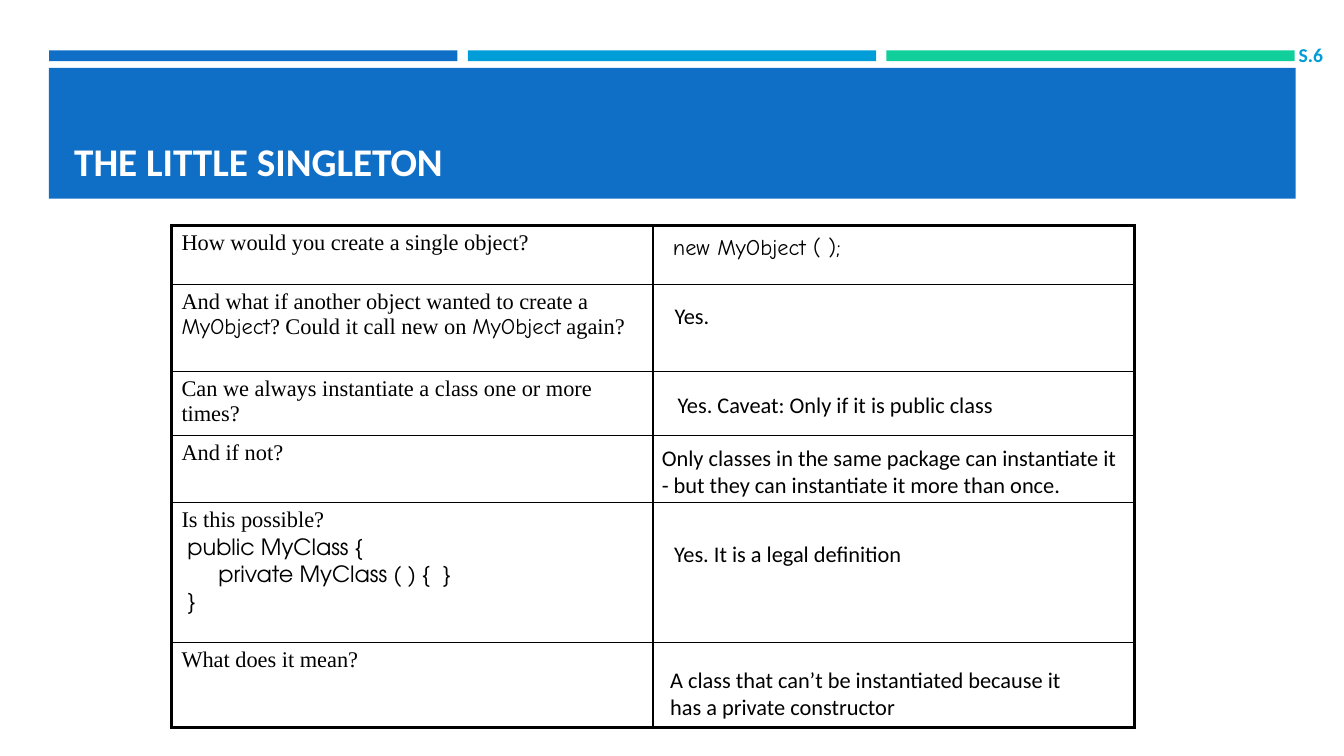
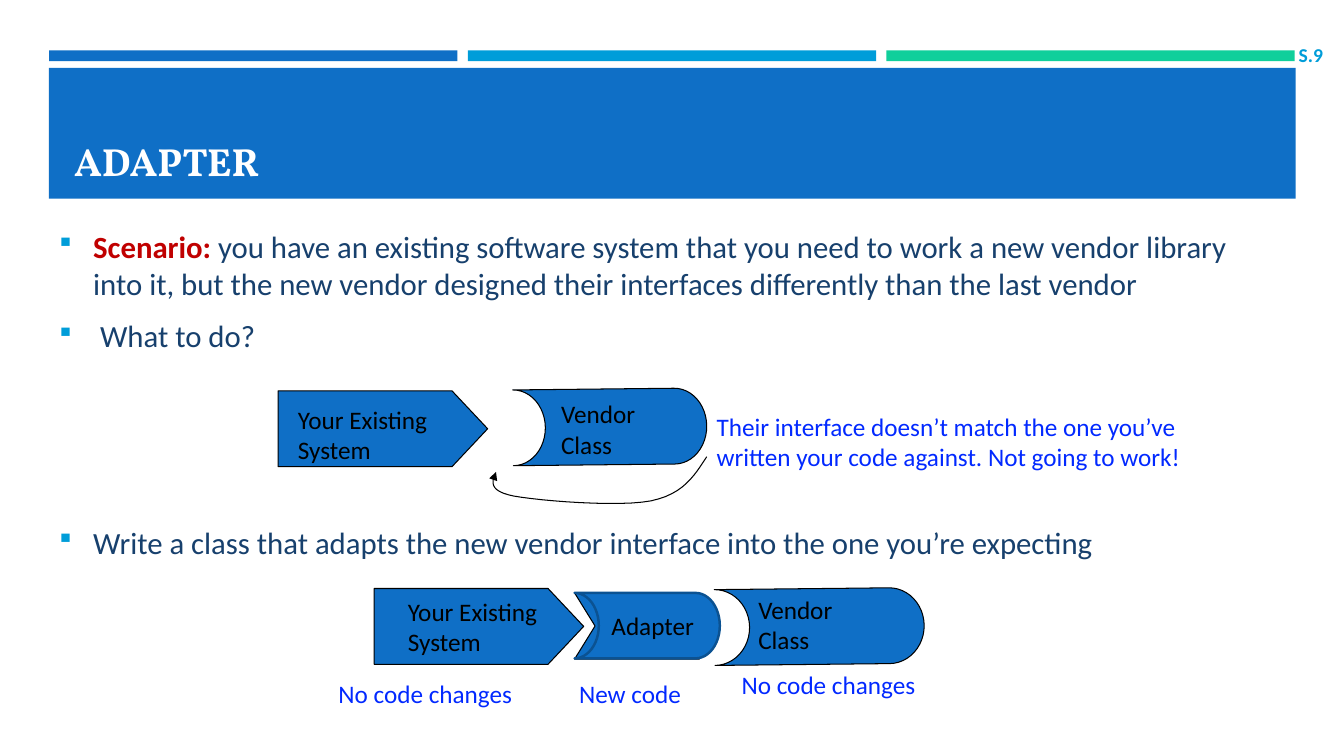
from pptx import Presentation
from pptx.dml.color import RGBColor
from pptx.enum.shapes import MSO_SHAPE
from pptx.enum.text import MSO_ANCHOR, PP_ALIGN
from pptx.oxml.ns import qn
from pptx.util import Cm, Pt
from lxml.etree import SubElement

BLUE = RGBColor(0x0F, 0x6F, 0xC6)
SKY = RGBColor(0x00, 0x9D, 0xD9)
GREEN = RGBColor(0x10, 0xCF, 0x9B)
EDGE = RGBColor(0x0B, 0x52, 0x92)
NAVY = RGBColor(0x17, 0x40, 0x6D)
RED = RGBColor(0xC0, 0x00, 0x00)
NOTE = RGBColor(0x02, 0x29, 0xFF)
BLACK = RGBColor(0, 0, 0)
WHITE = RGBColor(0xFF, 0xFF, 0xFF)
SANS, SERIF, HAND, CODE = "Calibri", "Times New Roman", "Comic Neue", "TeX Gyre Adventor"

# Singleton table: row height, question paragraphs (indent, [(text, font)])
QUESTIONS = [
    (1.48, [(0, [("How would you create a single object?", SERIF)])]),
    (2.2, [(0, [("And what if another object wanted to create a ", SERIF), ("MyObject", HAND),
                ("? Could it call new on ", SERIF), ("MyObject", HAND), (" again?", SERIF)])]),
    (1.54, [(0, [("Can we always instantiate a class one or more times?", SERIF)])]),
    (1.69, [(0, [("And if not?", SERIF)])]),
    (3.53, [(0, [("Is this possible?", SERIF)]),
            (0.15, [("public MyClass {", CODE)]),
            (0.93, [("private MyClass ( ) {  }", CODE)]),
            (0.15, [("}", CODE)])]),
    (2.14, [(0, [("What does it mean?", SERIF)])]),
]
# Answers laid over the right column: text, font, left, top, width, height
ANSWERS = [
    ("new MyObject ( );", HAND, 16.71, 5.74, 5.26, 1.04),
    ("Yes.", SANS, 16.75, 7.49, 1.7, 0.94),
    ("Yes. Caveat: Only if it is public class", SANS, 16.83, 9.74, 9.2, 0.94),
    ("Only classes in the same package can instantiate it - but they can instantiate "
     "it more than once.", SANS, 16.43, 11.06, 12.17, 1.63),
    ("Yes. It is a legal definition", SANS, 16.74, 13.48, 7, 0.94),
    ("A class that can’t be instantiated because it has a private constructor",
     SANS, 16.64, 16.66, 10.57, 1.63),
]

# Adapter bullets: space before in points, [(text, colour, bold)]
ADAPTER_BULLETS = [
    (0, [("Scenario: ", RED, True),
         ("you have an existing software system that you need to work a new vendor library "
          "into it, but the new vendor designed their interfaces differently than the last "
          "vendor", NAVY, False)]),
    (5, [(" What to do?", NAVY, False)]),
    (115, [("Write a class that adapts the new vendor interface into the one you’re expecting",
            NAVY, False)]),
]
# Pentagons: left, top, text inset left and top
SYSTEMS = [(7.01, 9.85, 0.5, 0.34), (9.43, 14.83, 0.85, 0.2)]
# Vendor shapes: left, top, width
VENDORS = [(12.93, 9.8, 4.88), (18.01, 14.83, 5.28)]
# Labels: text, left, top, width, colour
LABELS = [
    ("Vendor\nClass", 13.89, 9.92, 3.6, BLACK),
    ("Vendor\nClass", 18.86, 14.85, 2.57, BLACK),
    ("Adapter", 15.16, 15.26, 2.67, BLACK),
    ("Their interface doesn’t match the one you’ve written your code against. "
     "Not going to work!", 17.81, 10.24, 13.34, NOTE),
    ("No code changes", 8.28, 16.97, 5, NOTE),
    (" New code", 14.2, 16.97, 3.4, NOTE),
    ("No code changes", 18.44, 16.74, 5, NOTE),
]
# Return arrow: Bézier curves, each starting where the last one ends
ARROW_START = (17.81, 11.51)
ARROW_CURVES = [
    ((17.5, 11.99), (17.22, 12.45), (16.41, 12.62)),
    ((15.6, 12.78), (13.61, 12.62), (12.95, 12.5)),
    ((12.29, 12.37), (12.4, 12.12), (12.5, 11.89)),
]


def style(run, size, font=SANS, color=BLACK, bold=False):
    run.font.size, run.font.name = Pt(size), font
    run.font.color.rgb, run.font.bold = color, bold


def add_label(slide, text, left, top, width, height, size, font=SANS, color=BLACK, bold=False):
    box = slide.shapes.add_textbox(Cm(left), Cm(top), Cm(width), Cm(height))
    box.text_frame.word_wrap = True
    box.text_frame.text = text
    for paragraph in box.text_frame.paragraphs:
        for run in paragraph.runs:
            style(run, size, font, color, bold)
    return box


def add_block(slide, preset, left, top, width, height, fill=BLUE, line=None, line_width=0.75):
    shape = slide.shapes.add_shape(preset, Cm(left), Cm(top), Cm(width), Cm(height))
    shape.shadow.inherit = False
    shape.fill.solid()
    shape.fill.fore_color.rgb = fill
    if line is None:
        shape.line.fill.background()
    else:
        shape.line.color.rgb, shape.line.width = line, Pt(line_width)
    return shape


def new_slide(presentation, title, title_font, number):
    slide = presentation.slides.add_slide(presentation.slide_layouts[6])
    for index, color in enumerate((BLUE, SKY, GREEN)):
        add_block(slide, MSO_SHAPE.RECTANGLE, 1.24 + index * 10.55, 1.27, 10.29, 0.27, color)
    add_block(slide, MSO_SHAPE.RECTANGLE, 1.23, 1.71, 31.42, 3.3)
    heading = add_label(slide, title, 1.62, 1.96, 30.63, 2.82, 28, title_font, WHITE, True)
    heading.text_frame.vertical_anchor = MSO_ANCHOR.BOTTOM
    page = add_label(slide, number, 32.73, 0.98, 1.1, 0.8, 14, SANS, SKY, True).text_frame
    page.vertical_anchor = MSO_ANCHOR.MIDDLE
    page.margin_left = page.margin_right = page.margin_top = page.margin_bottom = 0
    return slide


def set_borders(cell, widths):
    properties = cell._tc.get_or_add_tcPr()
    for position, (side, width) in enumerate(zip(("lnL", "lnR", "lnT", "lnB"), widths)):
        line = properties.makeelement(qn("a:" + side), {"w": str(Pt(width))})
        fill = SubElement(line, qn("a:solidFill"))
        SubElement(fill, qn("a:srgbClr"), val=str(BLACK))
        properties.insert(position, line)


def add_singleton_table(slide):
    count = len(QUESTIONS)
    height = sum(row_height for row_height, _ in QUESTIONS)
    table = slide.shapes.add_table(count, 2, Cm(4.32), Cm(5.69), Cm(24.27), Cm(height)).table
    table.first_row = table.horz_banding = False
    for index, (row_height, question) in enumerate(QUESTIONS):
        table.rows[index].height = Cm(row_height)
        frame = table.cell(index, 0).text_frame
        for position, (indent, pieces) in enumerate(question):
            paragraph = frame.add_paragraph() if position else frame.paragraphs[0]
            paragraph.space_before = Pt(4.5 if position else 0)
            paragraph._p.get_or_add_pPr().set("marL", str(Cm(indent)))
            for text, font in pieces:
                run = paragraph.add_run()
                run.text = text
                style(run, 16, font)
        # Thick outer frame, thin inner lines
        upper = 2.25 if index == 0 else 1
        lower = 2.25 if index == count - 1 else 1
        for column, sides in enumerate(((2.25, 1), (1, 2.25))):
            cell = table.cell(index, column)
            cell.fill.background()
            set_borders(cell, (*sides, upper, lower))
    for text, font, left, top, width, box_height in ANSWERS:
        add_label(slide, text, left, top, width, box_height, 16, font)


def add_bullets(slide):
    box = slide.shapes.add_textbox(Cm(1.24), Cm(5.61), Cm(30.63), Cm(9))
    frame = box.text_frame
    frame.word_wrap = True
    for index, (space, pieces) in enumerate(ADAPTER_BULLETS):
        paragraph = frame.add_paragraph() if index else frame.paragraphs[0]
        paragraph.space_before, paragraph.space_after = Pt(space), Pt(6)
        for text, color, bold in pieces:
            run = paragraph.add_run()
            run.text = text
            style(run, 22, SANS, color, bold)
        properties = paragraph._p.get_or_add_pPr()
        properties.set("marL", str(Cm(0.86)))
        properties.set("indent", str(-Cm(0.86)))
        bullet_color = SubElement(properties, qn("a:buClr"))
        SubElement(bullet_color, qn("a:srgbClr"), val=str(SKY))
        SubElement(properties, qn("a:buSzPct"), val="92000")
        SubElement(properties, qn("a:buFont"), typeface="Wingdings", charset="2")
        SubElement(properties, qn("a:buChar"), char="§")


def curve_points(start, curves, steps=12):
    points = []
    for first, second, end in curves:
        for step in range(1, steps + 1):
            t = step / steps
            points.append(tuple(
                Cm((1 - t) ** 3 * a + 3 * (1 - t) ** 2 * t * b + 3 * (1 - t) * t ** 2 * c + t ** 3 * d)
                for a, b, c, d in zip(start, first, second, end)))
        start = end
    return points


def add_return_arrow(slide):
    builder = slide.shapes.build_freeform(Cm(ARROW_START[0]), Cm(ARROW_START[1]))
    builder.add_line_segments(curve_points(ARROW_START, ARROW_CURVES), close=False)
    arrow = builder.convert_to_shape()
    arrow.shadow.inherit = False
    arrow.fill.background()
    arrow.line.color.rgb, arrow.line.width = BLACK, Pt(0.75)
    SubElement(arrow.line._get_or_add_ln(), qn("a:tailEnd"), type="triangle")


def add_adapter_diagram(slide):
    for left, top, inset_left, inset_top in SYSTEMS:
        system = add_block(slide, MSO_SHAPE.PENTAGON, left, top, 5.28, 1.91, line=BLACK)
        system.adjustments[0] = 0.47
        frame = system.text_frame
        frame.text = "Your Existing\nSystem"
        frame.vertical_anchor = MSO_ANCHOR.TOP
        frame.margin_left, frame.margin_top = Cm(inset_left), Cm(inset_top)
        frame.margin_right = frame.margin_bottom = 0
        for paragraph in frame.paragraphs:
            paragraph.alignment = PP_ALIGN.LEFT
            style(paragraph.runs[0], 18)
    for left, top, width in VENDORS:
        vendor = add_block(slide, MSO_SHAPE.FLOWCHART_STORED_DATA, left, top, width, 1.91, line=BLACK)
        vendor.rotation = 179.4
    # Adapter: notch on the left, round hollow on top of it
    notch = add_block(slide, MSO_SHAPE.CHEVRON, 14.48, 14.94, 3.66, 1.67, line=BLACK)
    notch.adjustments[0] = 0.31
    adapter = add_block(slide, MSO_SHAPE.FLOWCHART_STORED_DATA, 14.48, 14.94, 3.66, 1.65,
                        line=EDGE, line_width=1.75)
    adapter.rotation = 180
    add_return_arrow(slide)
    for text, left, top, width, color in LABELS:
        add_label(slide, text, left, top, width, 1.02, 18, SANS, color)


def main():
    presentation = Presentation()
    presentation.slide_width, presentation.slide_height = Cm(33.87), Cm(19.05)
    add_singleton_table(new_slide(presentation, "THE LITTLE SINGLETON", SANS, "S.6"))
    adapter_slide = new_slide(presentation, "ADAPTER", "Vollkorn", "S.9")
    add_bullets(adapter_slide)
    add_adapter_diagram(adapter_slide)
    presentation.save("out.pptx")


if __name__ == "__main__":
    main()
